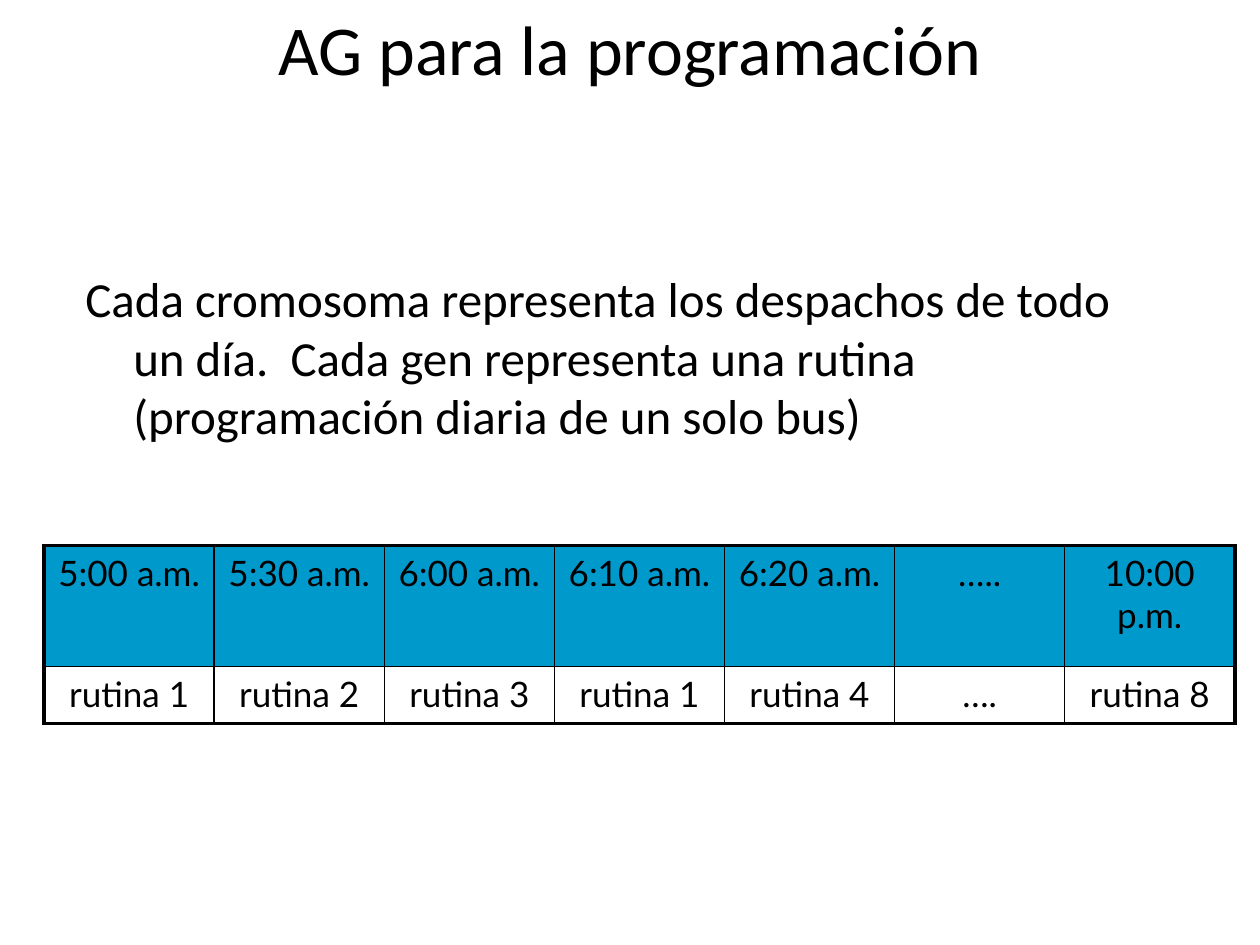
from lxml import etree
from pptx import Presentation
from pptx.dml.color import RGBColor
from pptx.enum import text
from pptx.oxml import ns
from pptx.util import Inches, Pt

# Content
TITLE = "AG para la programación"
BODY = ("Cada cromosoma representa los despachos de todo un día.  "
        "Cada gen representa una rutina (programación diaria de un solo bus)")
SCHEDULE = [
    ("5:00 a.m.", "5:30 a.m.", "6:00 a.m.", "6:10 a.m.", "6:20 a.m.", "…..", "10:00 p.m."),
    ("rutina 1", "rutina 2", "rutina 3", "rutina 1", "rutina 4", "….", "rutina 8"),
]
ROW_HEIGHTS = (0.96, 0.45)
COLUMN_WIDTH = 1.35
BLACK, BLUE = "000000", "0099CC"
THIN, THICK = 1, 2.25


def color(value):
    return RGBColor.from_string(value)


def place(shape, left, top, width, height):
    shape.left, shape.top = Inches(left), Inches(top)
    shape.width, shape.height = Inches(width), Inches(height)


def style(para, size, name, align):
    para.alignment = align
    para.font.size = Pt(size)
    para.font.name = name
    para.font.color.rgb = color(BLACK)


def add_borders(cell, widths):
    """Draw the left, right, top and bottom borders, ahead of the cell fill."""
    properties = cell._tc.get_or_add_tcPr()
    for index, (side, width) in enumerate(zip("LRTB", widths)):
        line = etree.Element(ns.qn(f"a:ln{side}"), w=str(Pt(width)))
        fill = etree.SubElement(line, ns.qn("a:solidFill"))
        etree.SubElement(fill, ns.qn("a:srgbClr"), val=BLACK)
        properties.insert(index, line)


def main():
    deck = Presentation()
    deck.slide_width, deck.slide_height = Inches(10), Inches(7.5)
    page = deck.slides.add_slide(deck.slide_layouts[5])

    # Title
    title = page.shapes.title
    place(title, 0, -0.25, 10, 1.25)
    title.text_frame.text = TITLE
    title.text_frame.vertical_anchor = text.MSO_ANCHOR.MIDDLE
    style(title.text_frame.paragraphs[0], 40, "Calibri", text.PP_ALIGN.CENTER)

    # Explanation with a hanging indent
    box = page.shapes.add_textbox(Inches(0.58), Inches(2.08), Inches(8.34), Inches(4.5))
    box.text_frame.word_wrap = True
    box.text_frame.text = BODY
    para = box.text_frame.paragraphs[0]
    indent = para._p.get_or_add_pPr()
    indent.set("marL", str(Inches(0.38)))
    indent.set("indent", str(Inches(-0.38)))
    style(para, 28, "Calibri", text.PP_ALIGN.LEFT)

    # Chromosome table: times above routines
    rows, columns = len(SCHEDULE), len(SCHEDULE[0])
    table = page.shapes.add_table(
        rows, columns, Inches(0.35), Inches(4.33),
        Inches(columns * COLUMN_WIDTH), Inches(sum(ROW_HEIGHTS))).table
    table.horz_banding = False
    table.first_row = False
    for column in table.columns:
        column.width = Inches(COLUMN_WIDTH)
    for r, labels in enumerate(SCHEDULE):
        table.rows[r].height = Inches(ROW_HEIGHTS[r])
        for c, label in enumerate(labels):
            cell = table.cell(r, c)
            cell.text = label
            style(cell.text_frame.paragraphs[0], 20, "Lato", text.PP_ALIGN.CENTER)
            if r == 0:
                cell.fill.solid()
                cell.fill.fore_color.rgb = color(BLUE)
            else:
                cell.fill.background()
            outer = (c == 0, c == columns - 1, r == 0, r == rows - 1)
            add_borders(cell, [THICK if edge else THIN for edge in outer])

    deck.save("out.pptx")


if __name__ == "__main__":
    main()
